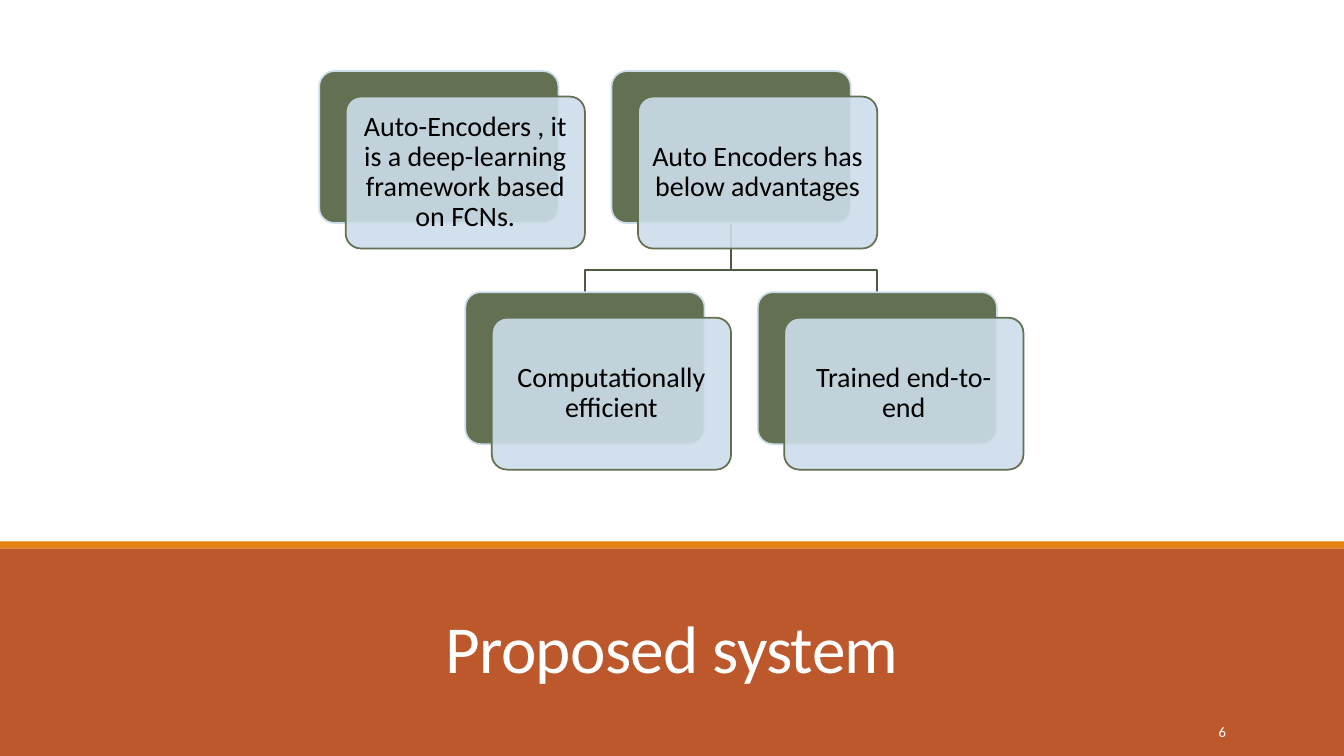
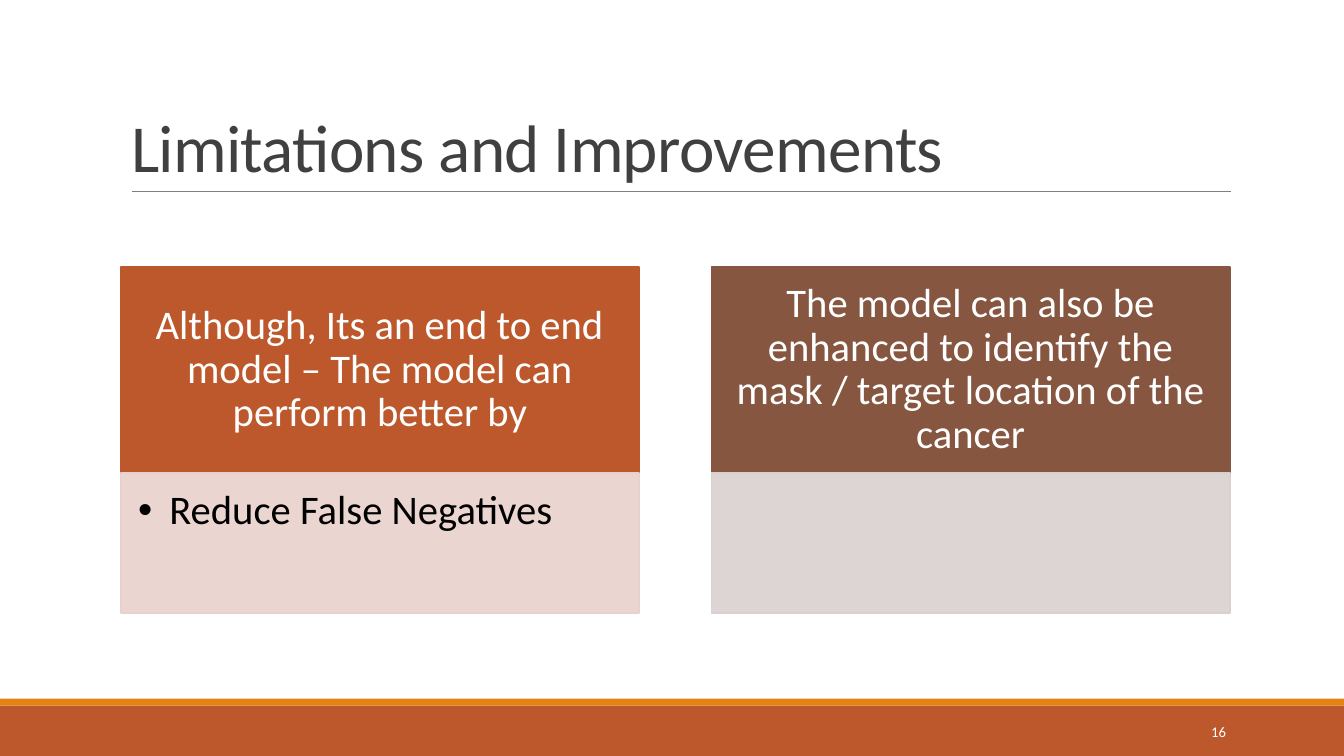
import pptx
import pptx.util
import pptx.dml.color
import pptx.enum.shapes
import pptx.enum.text
import pptx.oxml
import pptx.oxml.ns

COLORS = {
    "white": "FFFFFF", "black": "000000", "heading": "404040", "rule": "808080",
    "rust": "BD582C", "orange": "E48312", "brown": "865640",
    "rose": "E8D1CD", "taupe": "D9D1CF",
    "green": "637052", "branch": "4F5A42", "sky": "CCDDEA",
}
ALIGN = pptx.enum.text.PP_ALIGN
ANCHOR = pptx.enum.text.MSO_ANCHOR
SHAPE = pptx.enum.shapes.MSO_SHAPE
NAMESPACE = pptx.oxml.ns.nsdecls("a")


def set_attributes(target, values):
    for name, value in values.items():
        setattr(target, name, value)


def color(name):
    return pptx.dml.color.RGBColor.from_string(COLORS[name])


class Deck:
    font = "Calibri"
    outline = 1.25

    def __init__(self):
        self.presentation = pptx.Presentation()
        set_attributes(self.presentation, {
            "slide_width": pptx.util.Inches(13.33),
            "slide_height": pptx.util.Inches(7.5),
        })
        self.slide = None

    def across(self, percent):
        return round(self.presentation.slide_width * percent / 100)

    def down(self, percent):
        return round(self.presentation.slide_height * percent / 100)

    def box(self, left, top, width, height):
        return self.across(left), self.down(top), self.across(width), self.down(height)

    def start(self, number, band_top):
        self.slide = self.presentation.slides.add_slide(self.presentation.slide_layouts[5])
        accent = 0.93
        self.block((0, band_top + accent, 100, 100 - band_top - accent), "rust")
        self.block((0, band_top, 100, accent), "orange")
        footer = self.slide.shapes.add_textbox(*self.box(81.23, 94.13, 10.73, 5.33))
        self.label(footer, number, 10.5, "white", align=ALIGN.RIGHT)

    def title(self, text, area, color_name, align):
        shape = self.slide.shapes.title
        set_attributes(shape, dict(zip(("left", "top", "width", "height"), self.box(*area))))
        shape.element.getparent().append(shape.element)
        paragraph = self.label(shape, text, 48, color_name, align=align,
                               anchor=ANCHOR.BOTTOM, spacing=0.85)
        paragraph.runs[0].font._element.set("spc", "-50")

    def label(self, shape, text, size, color_name, align=ALIGN.CENTER,
              anchor=ANCHOR.MIDDLE, spacing=1.0, insets=(0.1, 0.05, 0.1, 0.05)):
        sides = ("margin_left", "margin_top", "margin_right", "margin_bottom")
        frame = shape.text_frame
        set_attributes(frame, {
            "word_wrap": True,
            "auto_size": pptx.enum.text.MSO_AUTO_SIZE.NONE,
            "vertical_anchor": anchor,
            **{side: pptx.util.Inches(inset) for side, inset in zip(sides, insets)},
        })
        paragraph = frame.paragraphs[0]
        set_attributes(paragraph, {"alignment": align, "line_spacing": spacing})
        run = paragraph.add_run()
        run.text = text
        set_attributes(run.font, {"name": self.font, "size": pptx.util.Pt(size)})
        run.font.color.rgb = color(color_name)
        return paragraph

    def bullet(self, paragraph, indent):
        properties = paragraph._p.get_or_add_pPr()
        width = pptx.util.Inches(indent)
        properties.set("marL", str(width))
        properties.set("indent", str(-width))
        for markup in (f'<a:buFont {NAMESPACE} typeface="Arial"/>',
                       f'<a:buChar {NAMESPACE} char="•"/>'):
            properties.append(pptx.oxml.parse_xml(markup))

    def block(self, area, fill, line=None, opacity=100, kind=SHAPE.RECTANGLE):
        shape = self.slide.shapes.add_shape(kind, *self.box(*area))
        shape.shadow.inherit = False
        shape.fill.solid()
        shape.fill.fore_color.rgb = color(fill)
        if opacity < 100:
            fill_color = shape.element.spPr.find(".//" + pptx.oxml.ns.qn("a:srgbClr"))
            fill_color.append(pptx.oxml.parse_xml(
                f'<a:alpha {NAMESPACE} val="{opacity * 1000}"/>'))
        if line:
            self.stroke(shape, line, self.outline)
        else:
            shape.line.fill.background()
        return shape

    def stroke(self, shape, color_name, width):
        shape.line.color.rgb = color(color_name)
        shape.line.width = pptx.util.Pt(width)

    def rule(self, left, right, height):
        connector = self.slide.shapes.add_connector(
            pptx.enum.shapes.MSO_CONNECTOR.STRAIGHT,
            self.across(left), self.down(height), self.across(right), self.down(height))
        self.stroke(connector, "rule", 0.5)
        connector.element.spPr.append(pptx.oxml.parse_xml(f"<a:effectLst {NAMESPACE}/>"))

    def branch(self, points):
        corners = [(self.across(left), self.down(top)) for left, top in points]
        builder = self.slide.shapes.build_freeform(*corners[0])
        builder.add_line_segments(corners[1:], close=False)
        shape = builder.convert_to_shape()
        shape.shadow.inherit = False
        shape.fill.background()
        self.stroke(shape, "branch", self.outline)

    def card(self, text, left, top, width, height):
        rounded = SHAPE.ROUNDED_RECTANGLE
        back = self.block((left, top, width, height), "green", "sky", kind=rounded)
        front = self.block((left + 1.97, top + 3.37, width, height), "sky", "green",
                           opacity=90, kind=rounded)
        for shape in (back, front):
            shape.adjustments[0] = 0.1
        self.label(front, text, 20, "black", spacing=0.9, insets=(0.08,) * 4)

    def panel(self, left, heading, fill, body_fill, body=None):
        top, width, head_height, body_height = 35.33, 38.55, 27.2, 18.53
        head = self.block((left, top, width, head_height), fill, fill)
        self.label(head, heading, 29, "white", spacing=0.9,
                   insets=(0.23, 0.13, 0.23, 0.13))
        content = self.block((left, top + head_height, width, body_height),
                             body_fill, body_fill, opacity=90)
        if body:
            paragraph = self.label(content, body, 29, "black", align=ALIGN.LEFT,
                                   anchor=ANCHOR.TOP, spacing=0.9,
                                   insets=(0.17, 0.17, 0.23, 0.25))
            self.bullet(paragraph, 0.31)


def proposed_system(deck):
    deck.start("6", 71.6)
    deck.title("Proposed system\t", (8.78, 76.53, 82.5, 15.07), "white", ALIGN.CENTER)
    left, top, column_step, row_step = 23.75, 9.4, 21.75, 29.25
    width, height = 17.8, 20.1
    parent, children = 1, (0.5, 1.5)

    def center(column):
        return left + column * column_step + width / 2

    for child in children:
        deck.branch([(center(parent), top + height), (center(parent), 35.75),
                     (center(child), 35.75), (center(child), top + row_step)])
    cards = [
        ("Auto-Encoders , it is a deep-learning framework based on FCNs.", 0, 0),
        ("Auto Encoders has below advantages", parent, 0),
        ("Computationally efficient", children[0], 1),
        ("Trained end-to-end", children[1], 1),
    ]
    for text, column, row in cards:
        deck.card(text, left + column * column_step, top + row * row_step, width, height)


def limitations(deck):
    deck.start("16", 92.4)
    deck.rule(9.82, 91.58, 25.33)
    deck.title("Limitations and Improvements", (9, 4.13, 82.5, 21.2), "heading", ALIGN.LEFT)
    panels = [
        ("Although, Its an end to end model – The model can perform better by",
         "rust", "rose", "Reduce False Negatives"),
        ("The model can also be enhanced to identify the mask / target location of the cancer",
         "brown", "taupe"),
    ]
    for index, panel in enumerate(panels):
        deck.panel(9 + index * 43.95, *panel)


def main():
    deck = Deck()
    proposed_system(deck)
    limitations(deck)
    deck.presentation.save("out.pptx")


if __name__ == "__main__":
    main()
